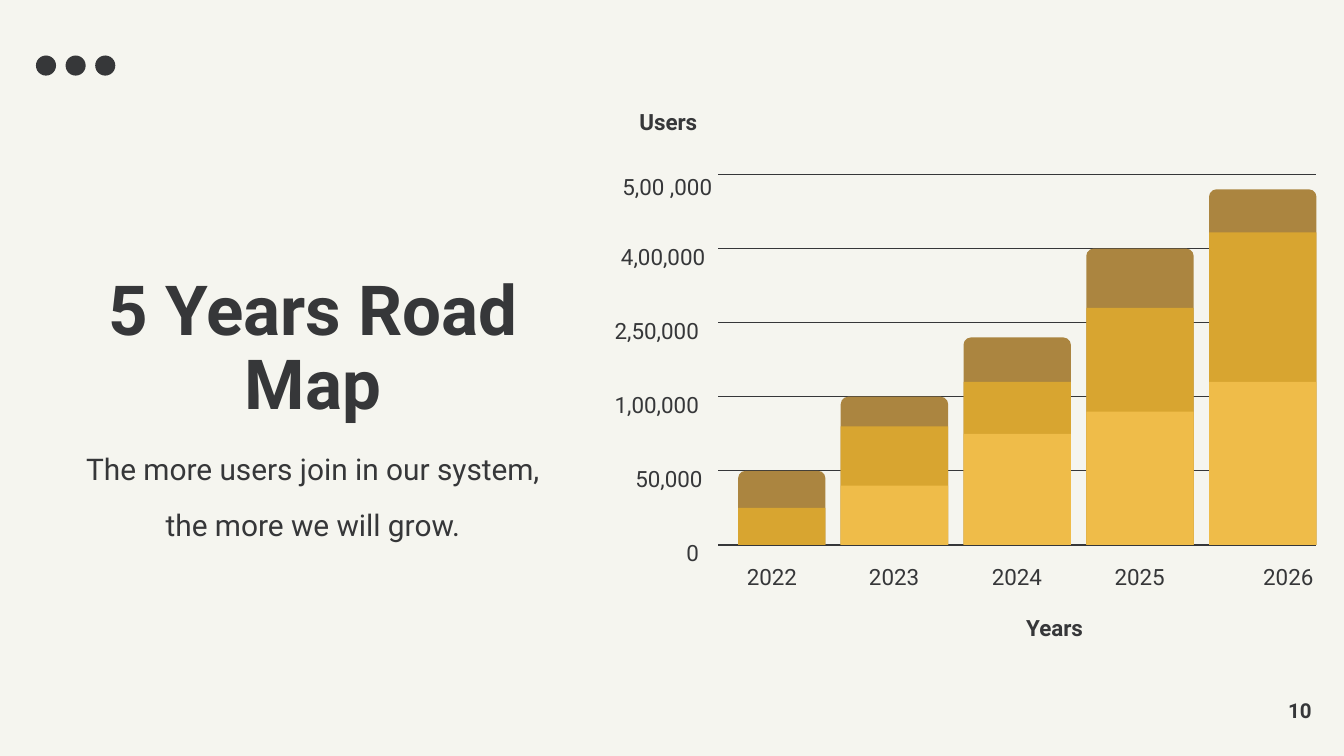
"""Build the five-year road map slide with its stacked user columns."""
import pptx
import pptx.util
import pptx.dml.color
import pptx.enum.shapes
import pptx.enum.text

Cm, Pt = pptx.util.Cm, pptx.util.Pt
SHAPE = pptx.enum.shapes.MSO_SHAPE
ALIGN = pptx.enum.text.PP_ALIGN
ANCHOR = pptx.enum.text.MSO_ANCHOR

THEME = {
    "font": "Roboto", "background": "F5F5EF", "ink": "363739",
    "tiers": ("AB8540", "D8A530", "EFBC49"),
    "title": 37, "subtitle": 16, "label": 12, "page": 11, "rule": 0.75,
}

HEADLINE = "5 Years Road Map"
SUBTITLE = ["The more users join in our system,", "the more we will grow."]
PAGE_NUMBER = "10"
AXIS_NAMES = [("Years", 18.95, 11.4), ("Users", 11.66, 1.85)]
SCALE = [
    ("5,00 ,000", 13.46, -0.23),
    ("4,00,000", 13.33, -0.31),
    ("2,50,000", 13.21, -0.31),
    ("1,00,000", 13.21, -0.31),
    ("50,000", 13.28, -0.31),
    ("0", 13.21, -0.31),
]
YEARS = [
    ("2022", 14.59, 1.65, (1, 0.5)),
    ("2023", 16.9, 2.03, (2, 1.6, 0.8)),
    ("2024", 19.22, 2.03, (2.8, 2.2, 1.5)),
    ("2025", 21.54, 2.03, (4, 3.2, 1.8)),
    ("2026", 24.35, 2.03, (4.8, 4.22, 2.2)),
]

GRID_LEFT, GRID_RIGHT, GRID_TOP, GRID_STEP = 13.57, 24.88, 3.3, 1.4
BASELINE = GRID_TOP + GRID_STEP * (len(SCALE) - 1)
COLUMN_RIGHT, COLUMN_PITCH, CORNER = 15.6, 2.32, 0.14
LABEL_WIDTH, LABEL_HEIGHT, YEAR_TOP = 2.03, 0.51, 10.44
DOT_LEFT, DOT_TOP, DOT_SIZE, DOT_PITCH = 0.68, 1.05, 0.38, 0.56


def color(code):
    return pptx.dml.color.RGBColor.from_string(code)


def add_text(slide, box, lines, size, align, bold=False, spacing=1.0,
             gap=0, anchor=ANCHOR.TOP):
    frame = slide.shapes.add_textbox(*map(Cm, box)).text_frame
    frame.word_wrap = True
    frame.vertical_anchor = anchor
    frame.margin_left = frame.margin_right = 0
    frame.margin_top = frame.margin_bottom = 0
    for index, line in enumerate(lines):
        paragraph = frame.add_paragraph() if index else frame.paragraphs[0]
        paragraph.alignment = align
        paragraph.line_spacing = spacing
        if index:
            paragraph.space_before = paragraph.space_after = Pt(gap)
        run = paragraph.add_run()
        run.text = line
        run.font.name = THEME["font"]
        run.font.size = Pt(THEME[size])
        run.font.bold = bold
        run.font.color.rgb = color(THEME["ink"])


def add_label(slide, text, left, top, align, bold=False):
    add_text(slide, (left, top, LABEL_WIDTH, LABEL_HEIGHT), [text],
             "label", align, bold, 1.4)


def add_solid(slide, kind, box, fill):
    solid = slide.shapes.add_shape(kind, *map(Cm, box))
    solid.shadow.inherit = False
    solid.fill.solid()
    solid.fill.fore_color.rgb = color(fill)
    solid.line.fill.background()
    return solid


def add_scale(slide):
    for index, (text, right, offset) in enumerate(SCALE):
        level = GRID_TOP + index * GRID_STEP
        gridline = slide.shapes.add_connector(
            pptx.enum.shapes.MSO_CONNECTOR.STRAIGHT,
            Cm(GRID_LEFT), Cm(level), Cm(GRID_RIGHT), Cm(level))
        gridline.line.color.rgb = color(THEME["ink"])
        gridline.line.width = Pt(THEME["rule"])
        properties = gridline._element.spPr
        properties.append(pptx.oxml.parse_xml(
            '<a:effectLst xmlns:a='
            '"http://schemas.openxmlformats.org/drawingml/2006/main"/>'))
        add_label(slide, text, right - LABEL_WIDTH, level + offset, ALIGN.RIGHT)


def add_columns(slide):
    for index, (year, center, width, levels) in enumerate(YEARS):
        left = COLUMN_RIGHT + index * COLUMN_PITCH - width
        for tier, (level, fill) in enumerate(zip(levels, THEME["tiers"])):
            height = level * GRID_STEP
            kind = SHAPE.RECTANGLE if tier else SHAPE.ROUND_2_SAME_RECTANGLE
            column = add_solid(
                slide, kind, (left, BASELINE - height, width, height), fill)
            if not tier:
                column.adjustments[0] = CORNER / min(width, height)
        add_label(slide, year, center - LABEL_WIDTH / 2, YEAR_TOP, ALIGN.CENTER)


def main():
    deck = pptx.Presentation()
    deck.slide_width, deck.slide_height = Cm(25.4), Cm(14.29)
    slide = deck.slides.add_slide(deck.slide_layouts[6])
    slide.background.fill.solid()
    slide.background.fill.fore_color.rgb = color(THEME["background"])

    for index in range(3):
        dot = (DOT_LEFT + index * DOT_PITCH, DOT_TOP, DOT_SIZE, DOT_SIZE)
        add_solid(slide, SHAPE.OVAL, dot, THEME["ink"])
    add_text(slide, (0.81, 5.46, 10.21, 2.57), [HEADLINE], "title",
             ALIGN.CENTER, True, 0.9, anchor=ANCHOR.BOTTOM)
    add_text(slide, (0.81, 8.41, 10.21, 2.57), SUBTITLE, "subtitle",
             ALIGN.CENTER, spacing=1.15, gap=8)
    add_text(slide, (23.27, 13.18, 1.52, 0.51), [PAGE_NUMBER], "page",
             ALIGN.RIGHT, True, anchor=ANCHOR.MIDDLE)

    add_scale(slide)
    add_columns(slide)
    for name, left, top in AXIS_NAMES:
        add_label(slide, name, left - LABEL_WIDTH + 1.52, top, ALIGN.RIGHT, True)
    deck.save("out.pptx")


if __name__ == "__main__":
    main()
